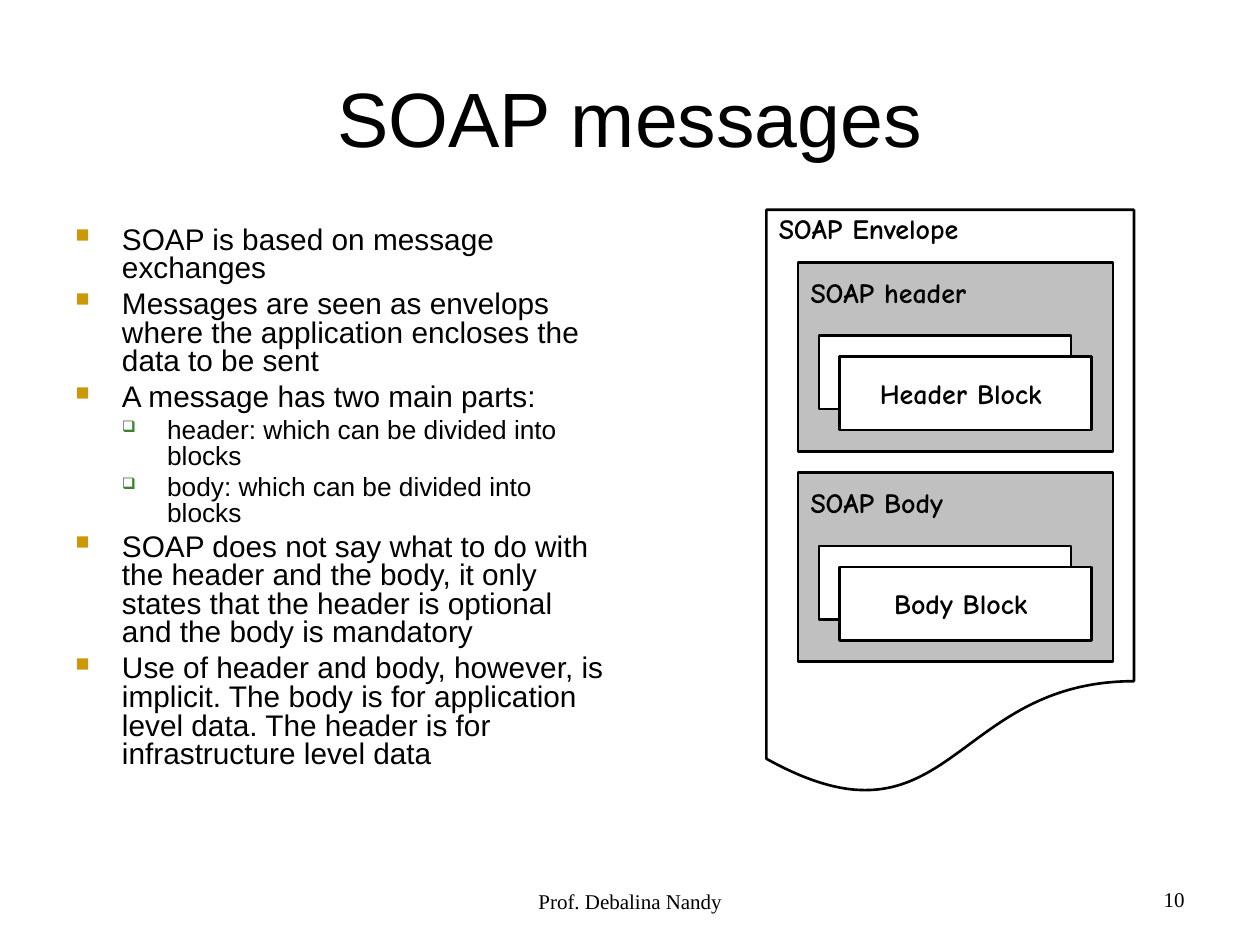
from lxml import etree
from pptx import Presentation, util as u
from pptx.dml.color import RGBColor
from pptx.enum import shapes, text
from pptx.oxml.ns import qn

BLACK, WHITE, GREY = "000000", "FFFFFF", "C0C0C0"
LEFT, CENTER, RIGHT = text.PP_ALIGN.LEFT, text.PP_ALIGN.CENTER, text.PP_ALIGN.RIGHT
TOP, MIDDLE = text.MSO_ANCHOR.TOP, text.MSO_ANCHOR.MIDDLE

deck = Presentation()
deck.slide_width, deck.slide_height = u.Cm(25.4), u.Cm(19.05)
page = deck.slides.add_slide(deck.slide_layouts[6])


def write(box, words, size=16, font="Comic Neue", bold=False, align=LEFT,
          anchor=TOP, top=0.13, right=0.25, new=False):
    """Write one paragraph into a box and return it."""
    frame = box.text_frame
    frame.word_wrap = True
    frame.vertical_anchor = anchor
    frame.margin_left, frame.margin_right = u.Cm(0.25), u.Cm(right)
    frame.margin_top, frame.margin_bottom = u.Cm(top), u.Cm(0.13)
    para = frame.add_paragraph() if new else frame.paragraphs[0]
    para.alignment = align
    span = para.add_run()
    span.text = words
    span.font.size, span.font.name, span.font.bold = u.Pt(size), font, bold
    span.font.color.rgb = RGBColor.from_string(BLACK)
    return para


def draw(kind, left, top, width, height, fill=None):
    """Draw an outlined shape, measured in centimetres."""
    shape = page.shapes.add_shape(kind, u.Cm(left), u.Cm(top), u.Cm(width), u.Cm(height))
    shape.shadow.inherit = False
    if fill:
        shape.fill.solid()
        shape.fill.fore_color.rgb = RGBColor.from_string(fill)
    else:
        shape.fill.background()
    shape.line.color.rgb = RGBColor.from_string(BLACK)
    shape.line.width = u.Pt(1.5)
    return shape


# Title
title = page.shapes.add_textbox(u.Cm(1.27), u.Cm(0.76), u.Cm(22.86), u.Cm(3.18))
write(title, "SOAP messages", size=44, font="Arial", align=CENTER, anchor=MIDDLE)

# Bullet list: level and wording
points = [
    (0, "SOAP is based on message exchanges"),
    (0, "Messages are seen as envelops where the application encloses the data to be sent"),
    (0, "A message has two main parts:"),
    (1, "header: which can be divided into blocks"),
    (1, "body: which can be divided into blocks"),
    (0, "SOAP does not say what to do with the header and the body, it only states "
        "that the header is optional and the body is mandatory"),
    (0, "Use of header and body, however, is implicit. The body is for application "
        "level data. The header is for infrastructure level data"),
]
# Per level: text size, space before, indent, hang, bullet, colour, bullet size
levels = [
    (17, 4.2, 0.94, 0.94, "■", "CC9900", 65),
    (15, 3.7, 1.85, 0.91, "❑", "3B812F", 60),
]
body = page.shapes.add_textbox(u.Cm(1.27), u.Cm(4.45), u.Cm(11.23), u.Cm(12.57))
for index, (level, words) in enumerate(points):
    size, before, indent, hang, bullet, colour, percent = levels[level]
    para = write(body, words, size=size, font="Arial", new=index > 0)
    para.level = level
    para.line_spacing = 0.8
    para.space_before = u.Pt(before)
    props = para._p.get_or_add_pPr()
    props.set("marL", str(u.Cm(indent)))
    props.set("indent", str(-u.Cm(hang)))
    tint = etree.SubElement(props, qn("a:buClr"))
    etree.SubElement(tint, qn("a:srgbClr"), val=colour)
    etree.SubElement(props, qn("a:buSzPct"), val=str(percent * 1000))
    etree.SubElement(props, qn("a:buChar"), char=bullet)

# Envelope
envelope = draw(shapes.MSO_SHAPE.FLOWCHART_DOCUMENT, 15.45, 4.23, 7.41, 11.85)
write(envelope, "SOAP Envelope", bold=True, top=0.03)

# Header and body parts, each with two stacked blocks
for top, part, block in [(5.29, "SOAP header", "Header Block"),
                         (9.53, "SOAP Body", "Body Block")]:
    panel = draw(shapes.MSO_SHAPE.RECTANGLE, 16.09, top, 6.35, 3.81, GREY)
    write(panel, part, bold=True, top=0.26)
    draw(shapes.MSO_SHAPE.RECTANGLE, 16.51, top + 1.48, 5.08, 1.48, WHITE)
    front = draw(shapes.MSO_SHAPE.RECTANGLE, 16.93, top + 1.9, 5.08, 1.48, WHITE)
    write(front, block, bold=True, align=CENTER, anchor=MIDDLE, right=0.45)

# Footer and page number
for left, top, width, words, align in [(8.69, 17.78, 8.03, "Prof. Debalina Nandy", CENTER),
                                       (18.21, 17.75, 5.92, "10", RIGHT)]:
    footer = page.shapes.add_textbox(u.Cm(left), u.Cm(top), u.Cm(width), u.Cm(1.27))
    write(footer, words, size=12, font="Times New Roman", align=align)

deck.save("out.pptx")
